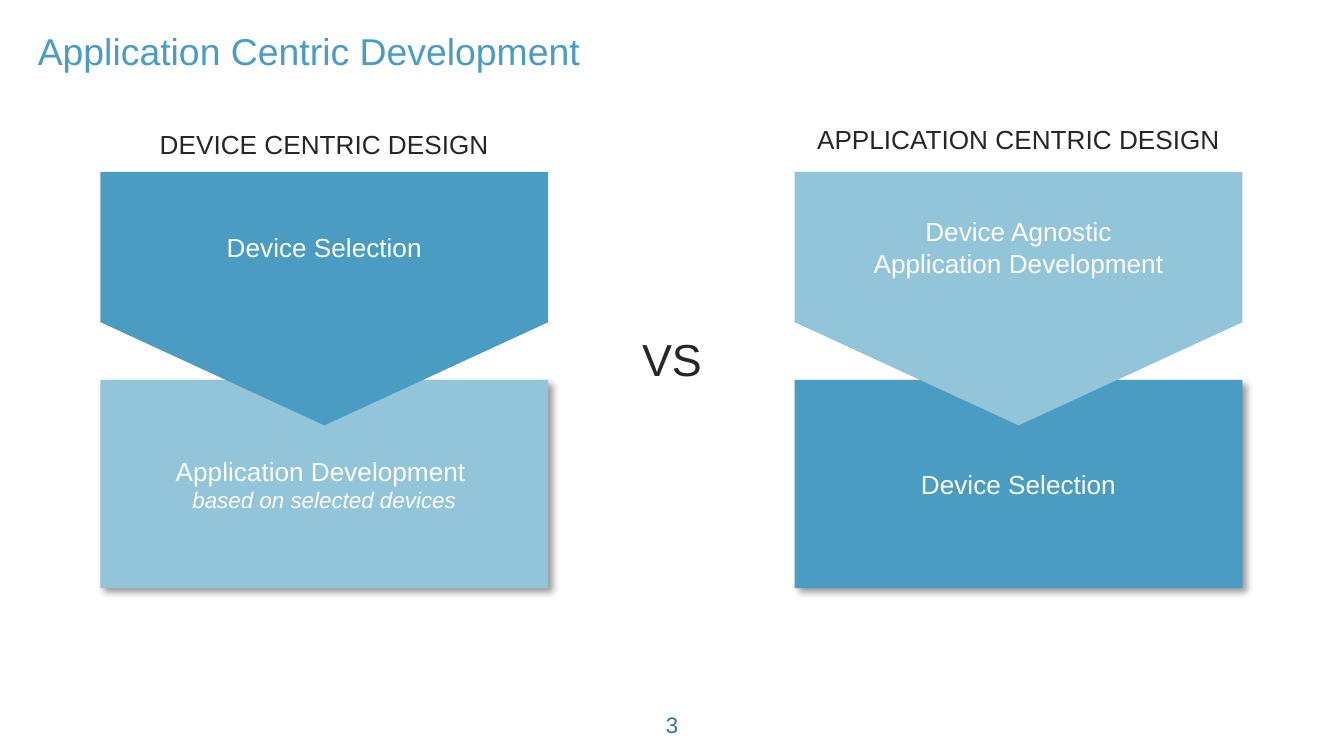
from dataclasses import dataclass

from lxml.etree import SubElement
from pptx import Presentation
from pptx.dml.color import RGBColor as Rgb
from pptx.enum.shapes import MSO_SHAPE as Kind
from pptx.enum.text import MSO_ANCHOR as Anchor, PP_ALIGN as Align
from pptx.oxml.ns import qn
from pptx.util import Cm, Pt


@dataclass(frozen=True)
class Theme:
    """Colours, font and type sizes."""
    font: str = "Arial"
    deep: str = "4A9CC2"
    pale: str = "92C4DA"
    white: str = "FFFFFF"
    ink: str = "262626"
    page: str = "337796"
    head: int = 20
    big: int = 24
    text: int = 14
    small: int = 12


THEME = Theme()


def write(frame, lines, size=THEME.text, color=THEME.ink,
          align=Align.CENTER, anchor=Anchor.TOP):
    """Fill a frame; a line is text or a (text, size, italic) tuple."""
    frame.word_wrap = True
    frame.vertical_anchor = anchor
    for i, line in enumerate(lines):
        text, pts, slant = (line, size, None) if isinstance(line, str) else line
        para = frame.add_paragraph() if i else frame.paragraphs[0]
        para.alignment = align
        run = para.add_run()
        run.text = text
        font = run.font
        font.name, font.size, font.italic = THEME.font, Pt(pts), slant
        font.color.rgb = Rgb.from_string(color)


def shade(shape):
    """Cast a soft shadow to the lower right."""
    fx = shape._element.spPr.find(qn("a:effectLst"))
    glow = SubElement(fx, qn("a:outerShdw"), blurRad=str(Pt(4)),
                      dist=str(Pt(3)), dir="2700000", algn="tl",
                      rotWithShape="0")
    tint = SubElement(glow, qn("a:srgbClr"), val="000000")
    SubElement(tint, qn("a:alpha"), val="40000")


class Deck:
    """Holds the theme and the current slide."""

    def __init__(self, prs, theme):
        """Add a title-only slide."""
        self.theme = theme
        self.slide = prs.slides.add_slide(prs.slide_layouts[5])

    def title(self, text, x, y, w, h):
        """Place and format the title."""
        box = self.slide.shapes.title
        box.left, box.top, box.width, box.height = map(Cm, (x, y, w, h))
        write(box.text_frame, [text], size=self.theme.head,
              color=self.theme.deep, align=Align.LEFT)

    def label(self, text, x, y, w, h, home=None, **style):
        """Add a text box to the slide or to a group."""
        home = home or self.slide
        box = home.shapes.add_textbox(*map(Cm, (x, y, w, h)))
        write(box.text_frame, [text], **style)

    def block(self, home, kind, fill, x, y, w, h, lines=()):
        """Add a plain filled shape with white text."""
        shape = home.shapes.add_shape(kind, *map(Cm, (x, y, w, h)))
        shape.shadow.inherit = False
        shape.fill.solid()
        shape.fill.fore_color.rgb = Rgb.from_string(fill)
        shape.line.fill.background()
        write(shape.text_frame, lines, color=self.theme.white,
              anchor=Anchor.MIDDLE)
        return shape

    def flow(self, x, head, head_y, first, second, fills):
        """Add a heading and a block that points down into the next."""
        group = self.slide.shapes.add_group_shape()
        top, base = fills
        shade(self.block(group, Kind.RECTANGLE, base, x, 7.18, WIDE, 3.94,
                         second))
        tip = self.block(group, Kind.ISOSCELES_TRIANGLE, top, x, 6.09, WIDE,
                         1.95)
        tip.rotation = 180
        self.block(group, Kind.RECTANGLE, top, x, 3.25, WIDE, 2.84, first)
        self.label(head, x, head_y, WIDE, 0.86, home=group)


WIDE = 8.46
prs = Presentation()
prs.slide_width, prs.slide_height = Cm(25.4), Cm(14.29)
deck = Deck(prs, THEME)

deck.title("Application Centric Development", 0.46, 0.4, 24.3, 1.12)
deck.flow(1.9, "DEVICE CENTRIC DESIGN", 2.31, ["Device Selection"],
          ["Application Development ",
           ("based on selected devices", THEME.small, True)],
          (THEME.deep, THEME.pale))
deck.flow(15.02, "APPLICATION CENTRIC DESIGN", 2.21,
          ["Device Agnostic", "Application Development"],
          ["Device Selection"], (THEME.pale, THEME.deep))
deck.label("VS", 8.47, 6.15, WIDE, 1.28, size=THEME.big)
deck.label("3", 11.5, 13.31, 2.4, 0.77, size=THEME.small, color=THEME.page,
           anchor=Anchor.MIDDLE)

prs.save("out.pptx")
